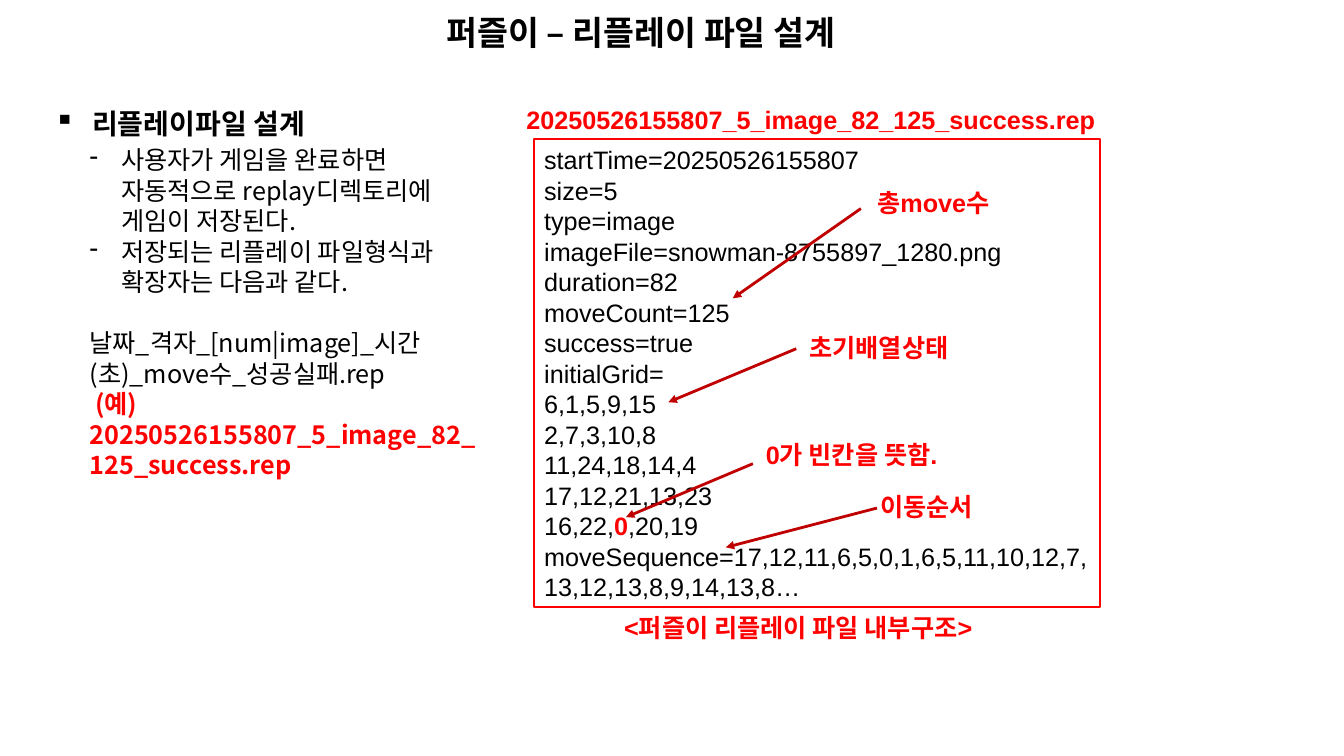
from lxml import etree
from pptx import Presentation
from pptx.dml.color import RGBColor
from pptx.enum.shapes import MSO_CONNECTOR, MSO_SHAPE
from pptx.enum.text import MSO_ANCHOR, PP_ALIGN
from pptx.oxml.ns import qn
from pptx.util import Pt

RECT = MSO_SHAPE.RECTANGLE
LINE = MSO_CONNECTOR.STRAIGHT
TOP = MSO_ANCHOR.TOP
LEFT = PP_ALIGN.LEFT
MID = PP_ALIGN.CENTER

BLACK = RGBColor(0x00, 0x00, 0x00)
RED = RGBColor(0xFF, 0x00, 0x00)
DARK = RGBColor(0xC0, 0x00, 0x00)
KOREAN = "Noto Sans CJK KR"
LATIN = "Arial"
PITCH = 1.21

NAME = "20250526155807_5_image_82_125_success.rep"
HEAD = [
    "startTime=20250526155807",
    "size=5",
    "type=image",
    "imageFile=snowman-8755897_1280.png",
    "duration=82",
    "moveCount=125",
    "success=true",
    "initialGrid=",
    "6,1,5,9,15",
    "2,7,3,10,8",
    "11,24,18,14,4",
    "17,12,21,13,23",
]
MOVES = "moveSequence=17,12,11,6,5,0,1,6,5,11,10,12,7,13,12,13,8,9,14,13,8…"
LABELS = [
    ("<퍼즐이 리플레이 파일 내부구조>", 409.7, 433.4, 321),
    (NAME, 367.2, 70.6, 424),
    ("0가 빈칸을 뜻함.", 532, 310.3, 152.6),
    ("총move수", 613.4, 130.3, 106.6),
    ("초기배열상태", 551.5, 233.3, 152.6),
    ("이동순서", 608.4, 347, 106.6),
]
ARROWS = [
    (537.8, 331.2, 447.1, 369.4),
    (614.9, 149, 523.4, 213.1),
    (568.8, 249.1, 477.4, 287.3),
    (626.4, 362.9, 518.4, 391),
]


def add_box(slide, left, top, width, height):
    box = slide.shapes.add_textbox(Pt(left), Pt(top), Pt(width), Pt(height))
    box.text_frame.word_wrap = True
    return box.text_frame


def add_para(frame, text, size=18, face=KOREAN, color=BLACK, bold=False,
             align=LEFT, margin=0, indent=0, bullet=None):
    first = frame.paragraphs[0]
    para = first if not first.runs else frame.add_paragraph()
    para.alignment = align
    para.line_spacing = Pt(round(size * PITCH, 1))
    props = para._p.get_or_add_pPr()
    props.set("marL", str(Pt(margin)))
    props.set("indent", str(Pt(indent)))
    if bullet:
        etree.SubElement(props, qn("a:buChar")).set("char", bullet)
    para.font.size = Pt(size)
    para.font.name = face
    para.font.bold = bold
    para.font.color.rgb = color
    add_run(para, text)
    return para


def add_run(para, text):
    run = para.add_run()
    run.text = text
    east = etree.SubElement(run._r.get_or_add_rPr(), qn("a:ea"))
    east.set("typeface", KOREAN)
    return run


def add_label(slide, text, left, top, width):
    frame = add_box(slide, left, top, width, 25.2)
    add_para(frame, text, face=LATIN, color=RED, bold=True, align=MID)


def add_arrow(slide, *ends):
    arrow = slide.shapes.add_connector(LINE, *map(Pt, ends))
    arrow.line.color.rgb = DARK
    arrow.line.width = Pt(2)
    tail = etree.SubElement(arrow.line._get_or_add_ln(), qn("a:tailEnd"))
    tail.set("type", "triangle")
    etree.SubElement(arrow._element.spPr, qn("a:effectLst"))


def add_notes(slide):
    frame = add_box(slide, 20.9, 99.4, 327.6, 247)
    for text in ("사용자가 게임을 완료하면 자동적으로 replay디렉토리에 게임이 저장된다.",
                 "저장되는 리플레이 파일형식과 확장자는 다음과 같다."):
        add_para(frame, text, margin=58.5, indent=-22.5, bullet="-")
    form = add_para(frame, "날짜_격자_[num|image]_시간(초)_move수_성공실패.rep", margin=36)
    form.space_before = Pt(21.8)
    add_para(frame, "(예) " + NAME, color=RED, bold=True, margin=36, indent=4)


def add_file(slide):
    box = slide.shapes.add_shape(RECT, Pt(381.6), Pt(99.4), Pt(403.9), Pt(334))
    box.shadow.inherit = False
    box.fill.background()
    box.line.color.rgb = RED
    box.line.width = Pt(1.5)
    frame = box.text_frame
    frame.word_wrap = True
    frame.vertical_anchor = TOP
    for text in HEAD:
        add_para(frame, text, face=LATIN)
    row = add_para(frame, "16,22,", face=LATIN)
    zero = add_run(row, "0")
    zero.font.bold = True
    zero.font.color.rgb = RED
    add_run(row, ",20,19")
    add_para(frame, MOVES, face=LATIN)


def main():
    deck = Presentation()
    deck.slide_width = Pt(960)
    deck.slide_height = Pt(540)
    slide = deck.slides.add_slide(deck.slide_layouts[6])
    topic = add_box(slide, 31.7, 72, 210.2, 31.7)
    add_para(topic, "리플레이파일 설계", size=20, bold=True,
             margin=27, indent=-27, bullet="▪")
    title = add_box(slide, 311.8, 5, 327.6, 36)
    add_para(title, "퍼즐이 – 리플레이 파일 설계", size=24, bold=True)
    add_notes(slide)
    add_file(slide)
    for label in LABELS:
        add_label(slide, *label)
    for ends in ARROWS:
        add_arrow(slide, *ends)
    deck.save("out.pptx")


if __name__ == "__main__":
    main()
